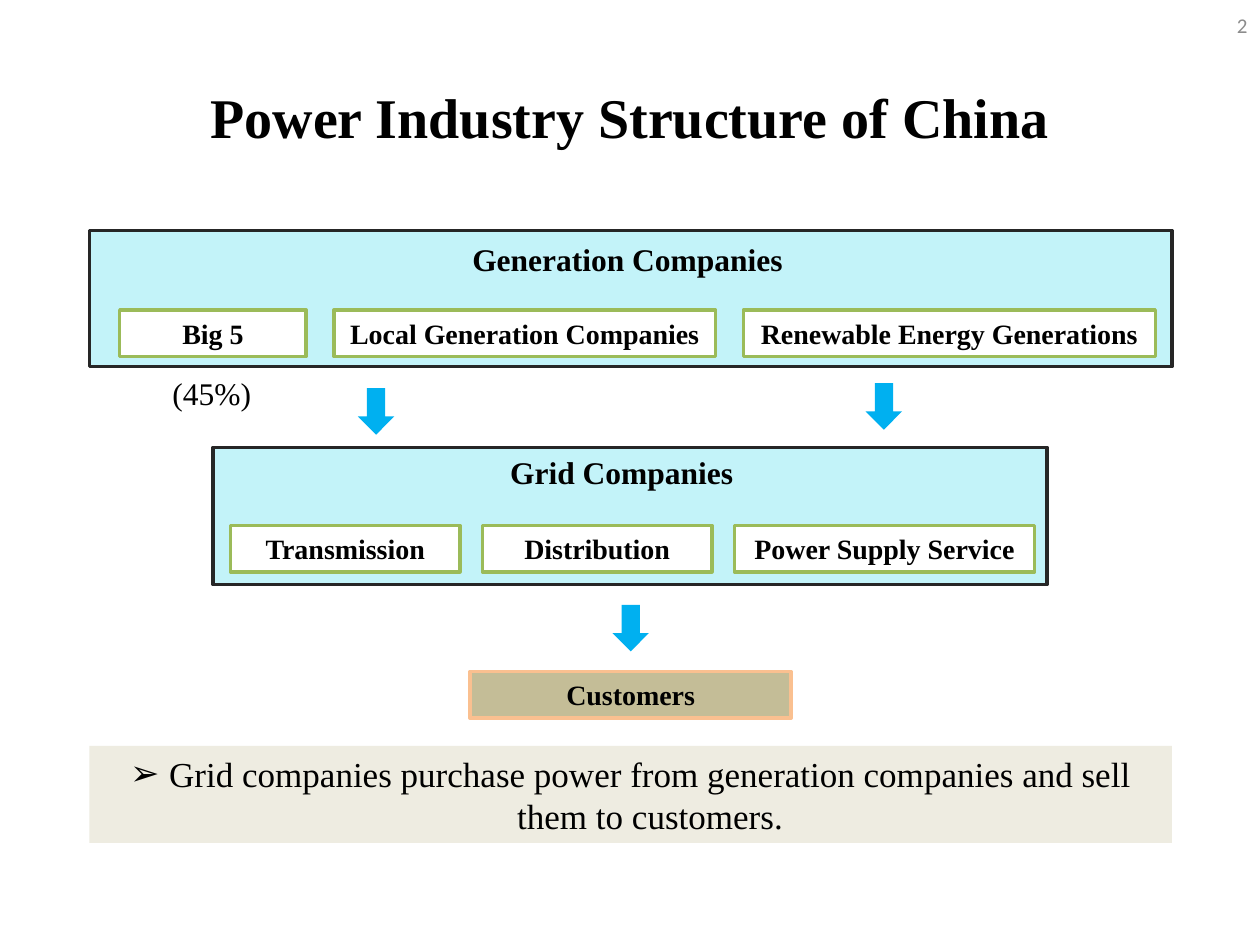
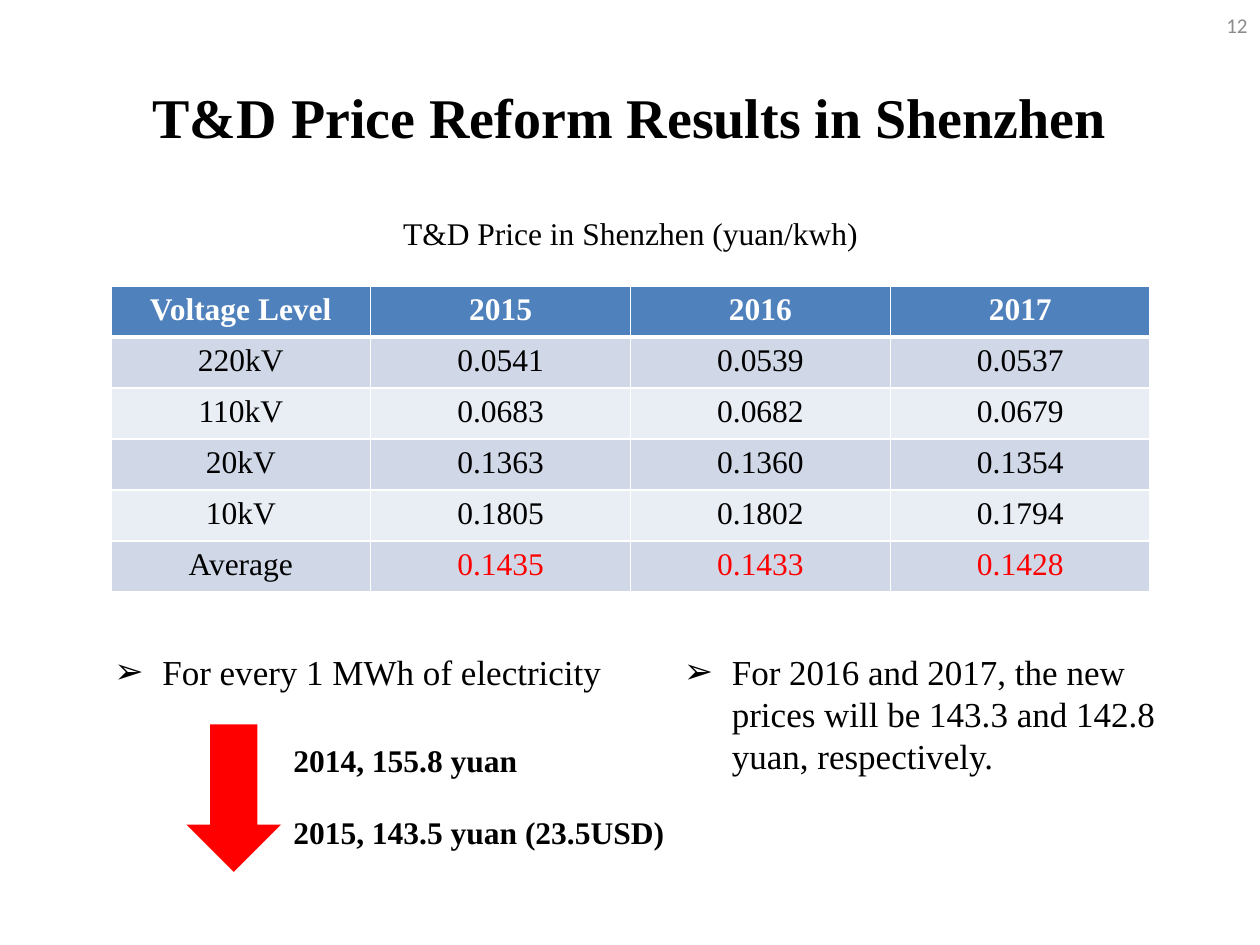
"""Two slides on the Chinese power industry and its transmission prices."""
from dataclasses import dataclass
from typing import Optional

from lxml import etree
from pptx import Presentation
from pptx.dml.color import RGBColor
from pptx.enum.shapes import MSO_SHAPE
from pptx.enum.text import MSO_ANCHOR, MSO_AUTO_SIZE, PP_ALIGN
from pptx.oxml.ns import qn
from pptx.util import Inches, Pt

BLACK = RGBColor(0x00, 0x00, 0x00)
WHITE = RGBColor(0xFF, 0xFF, 0xFF)
GRAY = RGBColor(0x8C, 0x8C, 0x8C)
CHARCOAL = RGBColor(0x26, 0x26, 0x26)
AQUA = RGBColor(0xC3, 0xF3, 0xF9)
GREEN = RGBColor(0x9B, 0xBB, 0x59)
TAN = RGBColor(0xC4, 0xBD, 0x97)
PEACH = RGBColor(0xFA, 0xC0, 0x90)
CREAM = RGBColor(0xEE, 0xEC, 0xE1)
SKY = RGBColor(0x00, 0xB0, 0xF0)
RED = RGBColor(0xFF, 0x00, 0x00)
HEADER_BLUE = RGBColor(0x4F, 0x81, 0xBD)
BAND_COLORS = (RGBColor(0xE9, 0xED, 0xF4), RGBColor(0xD0, 0xD8, 0xE8))

LEFT, CENTER, RIGHT = PP_ALIGN.LEFT, PP_ALIGN.CENTER, PP_ALIGN.RIGHT
TOP, MIDDLE = MSO_ANCHOR.TOP, MSO_ANCHOR.MIDDLE
GROW = MSO_AUTO_SIZE.SHAPE_TO_FIT_TEXT
RECTANGLE = MSO_SHAPE.RECTANGLE
RIGHT_ARROW, DOWN_ARROW = MSO_SHAPE.RIGHT_ARROW, MSO_SHAPE.DOWN_ARROW

CELL = Inches(0.1)  # the slide is a grid of 100 columns by 75 rows
TITLE_ONLY = 5
SERIF, SANS = "Times New Roman", "Calibri"
BULLET = "\u27a2"
LABEL_ROWS = 3.7


@dataclass(frozen=True)
class Box:
    """A place on the grid, in columns and rows."""
    column: float
    row: float
    columns: float
    rows: float

    def lengths(self) -> tuple:
        """Return left, top, width and height for python-pptx."""
        return tuple(round(cells * CELL) for cells in
                     (self.column, self.row, self.columns, self.rows))


@dataclass(frozen=True)
class Style:
    """How one paragraph looks."""
    size: float = 18
    bold: bool = False
    color: RGBColor = BLACK
    align: PP_ALIGN = LEFT
    font: str = SERIF
    indent: float = 0  # hanging bullet indent in columns
    spacing: Optional[float] = None


@dataclass(frozen=True)
class Stage:
    """A band of the supply chain with its row of labelled members."""
    name: str
    name_box: Box
    band: Box
    members: tuple  # (label, columns)
    first_column: float
    row: float
    gap: float


TITLE = Style(32, True, align=CENTER)
PAGE_NUMBER = Style(12, color=GRAY, align=RIGHT, font=SANS)
HEADING = Style(18, True)
LABEL = Style(16, True, align=CENTER)
BODY = Style(18)
CAPTION = Style(18, align=CENTER)
POINT = Style(20, indent=3.8)
CONCLUSION = Style(20, align=CENTER, indent=3.1)
PRICE = Style(18, True, spacing=1.5)

STAGES = (
    Stage("Grid Companies ", Box(39.5, 35.5, 20.5, 4), Box(16.9, 35.5, 66.2, 10.9),
          (("Transmission", 18.2), ("Distribution", 18.2), ("Power Supply Service", 23.8)),
          18.3, 41.7, 1.8),
    Stage("Generation Companies", Box(36.5, 18.6, 26.9, 4), Box(7.1, 18.3, 85.9, 10.8),
          (("Big 5", 14.8), ("Local Generation Companies", 30.3),
           ("Renewable Energy Generations", 32.7)),
          9.5, 24.6, 2.2),
)
FLOW_ARROWS = ((28, 31.2), (68.3, 30.8), (48.2, 48.4))

PRICES = (
    ("Voltage Level", "2015", "2016", "2017"),
    ("220kV", "0.0541", "0.0539", "0.0537"),
    ("110kV", "0.0683", "0.0682", "0.0679"),
    ("20kV", "0.1363", "0.1360", "0.1354"),
    ("10kV", "0.1805", "0.1802", "0.1794"),
    ("Average", "0.1435", "0.1433", "0.1428"),
)


def write(text_frame, text: str, style: Style) -> None:
    """Put one styled run in the first paragraph of a text frame."""
    paragraph = text_frame.paragraphs[0]
    paragraph.alignment = style.align
    if style.spacing:
        paragraph.line_spacing = style.spacing
    if style.indent:
        properties = paragraph._p.get_or_add_pPr()
        hang = round(style.indent * CELL)
        properties.set("marL", str(hang))
        properties.set("indent", str(-hang))
        etree.SubElement(properties, qn("a:buFont"), typeface="Arial")
        etree.SubElement(properties, qn("a:buChar"), char=BULLET)
    run = paragraph.add_run()
    run.text = text
    run.font.name = style.font
    run.font.size = Pt(style.size)
    run.font.bold = style.bold
    run.font.color.rgb = style.color


def add_text(slide, box: Box, text: str, style: Style, wrap: bool = True,
             anchor: MSO_ANCHOR = TOP) -> None:
    """Add a text box."""
    text_frame = slide.shapes.add_textbox(*box.lengths()).text_frame
    text_frame.word_wrap = wrap
    text_frame.vertical_anchor = anchor
    if anchor == TOP:
        text_frame.auto_size = GROW
    write(text_frame, text, style)


def add_figure(slide, kind: MSO_SHAPE, box: Box, fill: RGBColor,
               line: Optional[RGBColor] = None):
    """Add a flat preset shape, outlined only when a line colour is given."""
    shape = slide.shapes.add_shape(kind, *box.lengths())
    shape.shadow.inherit = False
    shape.fill.solid()
    shape.fill.fore_color.rgb = fill
    if line is None:
        shape.line.fill.background()
    else:
        shape.line.color.rgb = line
        shape.line.width = Pt(2)
    return shape


def add_label(slide, box: Box, text: str, style: Style, fill: RGBColor,
              line: Optional[RGBColor] = None) -> None:
    """Add a rectangle that holds text."""
    text_frame = add_figure(slide, RECTANGLE, box, fill, line).text_frame
    text_frame.word_wrap = True
    text_frame.auto_size = GROW
    text_frame.vertical_anchor = TOP
    write(text_frame, text, style)


def add_titled_slide(presentation, title: str, number: int):
    """Add a slide with the shared title and page number."""
    slide = presentation.slides.add_slide(presentation.slide_layouts[TITLE_ONLY])
    placeholder = slide.shapes.title
    (placeholder.left, placeholder.top,
     placeholder.width, placeholder.height) = Box(5, 3, 90, 12.5).lengths()
    placeholder.text_frame.vertical_anchor = MIDDLE
    write(placeholder.text_frame, title, TITLE)
    add_text(slide, Box(76.7, 0, 23.3, 4), str(number), PAGE_NUMBER, anchor=MIDDLE)
    return slide


def add_stage(slide, stage: Stage) -> None:
    """Draw a band, its name and its evenly spaced members."""
    add_figure(slide, RECTANGLE, stage.band, AQUA, CHARCOAL)
    add_text(slide, stage.name_box, stage.name, HEADING, wrap=False)
    column = stage.first_column
    for label, columns in stage.members:
        add_label(slide, Box(column, stage.row, columns, LABEL_ROWS),
                  label, LABEL, WHITE, GREEN)
        column += columns + stage.gap


def set_borders(cell, bottom_width: float) -> None:
    """Give a cell white borders; call before the cell is filled."""
    properties = cell._tc.get_or_add_tcPr()
    for side, width in (("L", 1), ("R", 1), ("T", 1), ("B", bottom_width)):
        line = etree.SubElement(properties, qn(f"a:ln{side}"), w=str(Pt(width)))
        fill = etree.SubElement(line, qn("a:solidFill"))
        etree.SubElement(fill, qn("a:srgbClr"), val=str(WHITE))


def add_price_table(slide, box: Box) -> None:
    """Draw the price table with a header, banded rows and red averages."""
    last = len(PRICES) - 1
    table = slide.shapes.add_table(len(PRICES), len(PRICES[0]), *box.lengths()).table
    for row, values in enumerate(PRICES):
        header = row == 0
        for column, value in enumerate(values):
            cell = table.cell(row, column)
            set_borders(cell, 3 if header else 1)
            cell.fill.solid()
            cell.fill.fore_color.rgb = HEADER_BLUE if header else BAND_COLORS[row % 2]
            color = WHITE if header else RED if row == last and column else BLACK
            write(cell.text_frame, value, Style(18, header, color, CENTER))


def build_structure_slide(presentation) -> None:
    """Show how power flows from generation to customers."""
    slide = add_titled_slide(presentation, "Power Industry Structure of China", 2)
    add_label(slide, Box(37.3, 53.3, 25.5, LABEL_ROWS), "Customers", LABEL, TAN, PEACH)
    for stage in STAGES:
        add_stage(slide, stage)
    for column, row in FLOW_ARROWS:
        arrow = add_figure(slide, RIGHT_ARROW, Box(column, row, 3.7, 2.9), SKY)
        arrow.rotation = 90
    add_label(slide, Box(7.1, 59.2, 85.9, 7.7),
              "Grid companies purchase power from generation companies "
              "and sell them to customers.", CONCLUSION, CREAM)
    add_text(slide, Box(12.7, 29.2, 8.3, 4), "(45%)", BODY, wrap=False)


def build_price_slide(presentation) -> None:
    """Show the reformed prices and what they mean."""
    slide = add_titled_slide(presentation, "T&D Price Reform Results in Shenzhen", 12)
    add_price_table(slide, Box(8.8, 22.7, 82.5, 24.3))
    add_text(slide, Box(26.7, 16.5, 46.7, 4), "T&D Price in Shenzhen (yuan/kwh)", CAPTION)
    add_text(slide, Box(53.3, 51.1, 41.7, 11.1),
             "For 2016 and 2017, the new prices will be 143.3 and 142.8 yuan, "
             "respectively.", POINT)
    add_text(slide, Box(22.3, 56.8, 23.4, 5), "2014, 155.8 yuan", PRICE)
    add_figure(slide, DOWN_ARROW, Box(14.8, 57.5, 7.5, 11.7), RED)
    add_text(slide, Box(8.1, 51.1, 41.9, 4.4), "For every 1 MWh of electricity", POINT)
    add_text(slide, Box(22.3, 62.5, 32.6, 5.6), "2015, 143.5 yuan (23.5USD)", PRICE)


def main() -> None:
    """Build and save the presentation."""
    presentation = Presentation()
    presentation.slide_width, presentation.slide_height = 100 * CELL, 75 * CELL
    build_structure_slide(presentation)
    build_price_slide(presentation)
    presentation.save("out.pptx")


main()
